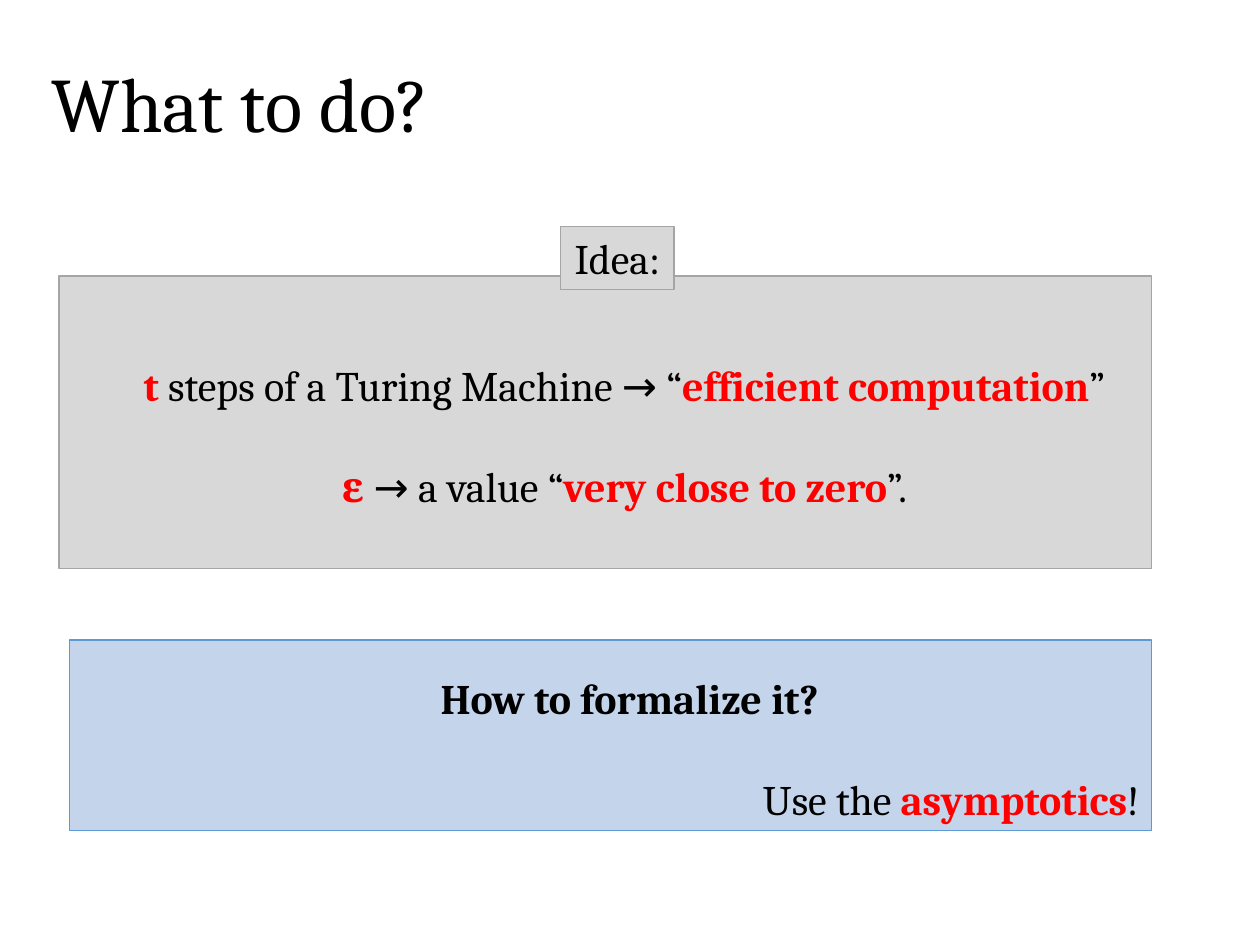
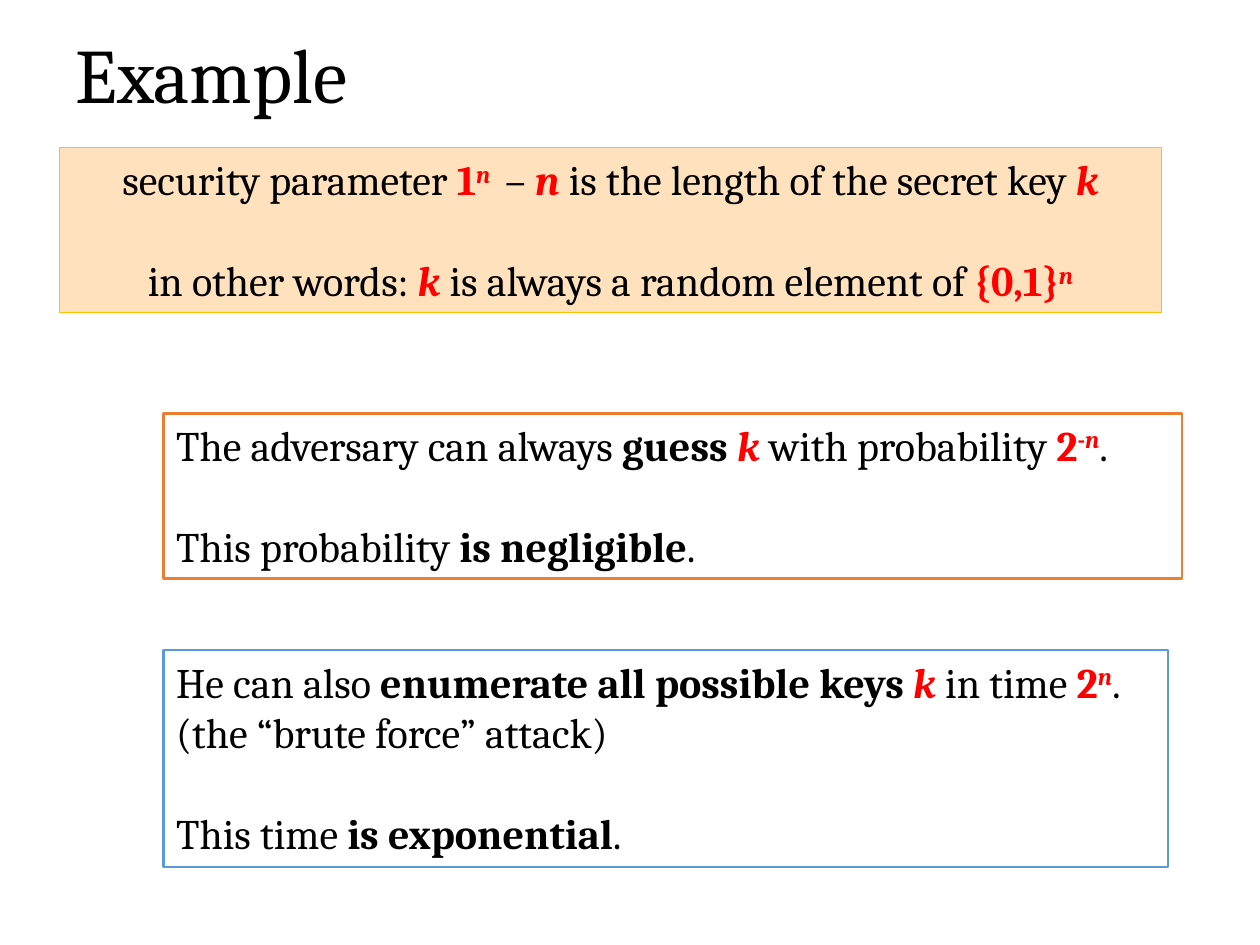
from pptx import Presentation
from pptx.dml.color import RGBColor
from pptx.enum import shapes, text
from pptx.util import Inches, Pt

COLORS = {
    "ink": "000000", "accent": "FF0000", "white": "FFFFFF",
    "grey": "D8D8D8", "grey_line": "A5A5A5",
    "blue": "C4D5EB", "blue_line": "5B9BD5",
    "peach": "FFE2BD", "gold_line": "FFC000", "orange_line": "ED7D31",
}
FONT, ARROW_FONT = "Cambria", "Roboto"
BODY_SIZE = 24
SECTION_GAP = Pt(29)  # one line of body text
THIN, THICK = 0.79, 1.5
LEFT, CENTER, RIGHT = text.PP_ALIGN.LEFT, text.PP_ALIGN.CENTER, text.PP_ALIGN.RIGHT
FORMAL_INSETS = (0.4, 0.25, 0.1, 0.05)
PLAIN_INSETS = (0.1, 0.05, 0.1, 0.05)


def rgb(name):
    return RGBColor.from_string(COLORS[name])


def add_span(para, words, style="", size=BODY_SIZE):
    """Style letters: r red, b bold, i italic, s superscript, a arrow font."""
    span = para.add_run()
    span.text = words
    font = span.font
    font.name = ARROW_FONT if "a" in style else FONT
    font.size = Pt(size)
    font.bold = "b" in style
    font.italic = "i" in style
    font.color.rgb = rgb("accent" if "r" in style else "ink")
    if "s" in style:
        span._r.get_or_add_rPr().set("baseline", "30000")


def add_page(deck, heading, left, top, width, height):
    page = deck.slides.add_slide(deck.slide_layouts[5])
    title = page.shapes.title
    title.left, title.top = Inches(left), Inches(top)
    title.width, title.height = Inches(width), Inches(height)
    frame = title.text_frame
    frame.auto_size = text.MSO_AUTO_SIZE.NONE
    frame.vertical_anchor = text.MSO_ANCHOR.MIDDLE
    para = frame.paragraphs[0]
    para.alignment = LEFT
    para.line_spacing = 0.9
    add_span(para, heading, size=44)
    return page


def add_panel(page, place, fill, line, weight, paragraphs,
              anchor=text.MSO_ANCHOR.TOP, insets=PLAIN_INSETS):
    """Paragraphs are (alignment, space before, spans)."""
    box = page.shapes.add_shape(shapes.MSO_SHAPE.RECTANGLE, *map(Inches, place))
    box.shadow.inherit = False
    box.fill.solid()
    box.fill.fore_color.rgb = rgb(fill)
    box.line.color.rgb = rgb(line)
    box.line.width = Pt(weight)
    frame = box.text_frame
    frame.word_wrap = True
    frame.vertical_anchor = anchor
    (frame.margin_left, frame.margin_top,
     frame.margin_right, frame.margin_bottom) = map(Inches, insets)
    for index, (alignment, gap, spans) in enumerate(paragraphs):
        para = frame.add_paragraph() if index else frame.paragraphs[0]
        para.alignment = alignment
        para.space_before = gap
        for span in spans:
            add_span(para, *span)


def build_idea_page(deck):
    page = add_page(deck, "What to do?", 0.31, 0.23, 8.2, 1.25)
    formal = {"anchor": text.MSO_ANCHOR.MIDDLE, "insets": FORMAL_INSETS}
    add_panel(page, (0.47, 2.19, 8.67, 2.32), "grey", "grey_line", THIN, [
        (CENTER, 0, [("t", "rb"), (" steps of a Turing Machine ",), ("→", "a"),
                     (" “",), ("efficient computation", "rb"), ("”",)]),
        (CENTER, SECTION_GAP, [("ε ", "rb"), ("→", "a"), (" a value “",),
                               ("very close to zero", "rb"), ("”.",)]),
    ], **formal)
    add_panel(page, (0.55, 5.08, 8.59, 1.51), "blue", "blue_line", THIN, [
        (CENTER, 0, [("How to formalize it?", "b")]),
        (RIGHT, SECTION_GAP, [("Use the ",), ("asymptotics", "rb"), ("!",)]),
    ], **formal)
    add_panel(page, (4.45, 1.8, 0.9, 0.5), "grey", "grey_line", THIN,
              [(CENTER, 0, [("Idea:",)])])


def build_example_page(deck):
    page = add_page(deck, "Example", 0.5, 0, 9, 1.25)
    add_panel(page, (0.47, 1.17, 8.75, 1.31), "peach", "gold_line", THIN, [
        (CENTER, 0, [("security parameter ",), ("1", "rb"), ("n ", "rbis"),
                     (" – ",), ("n", "rbi"),
                     (" is the length of the secret key ",), ("k", "rbi")]),
        (CENTER, SECTION_GAP, [("in other words: ",), ("k ", "rbi"),
                               ("is always a random element of ",),
                               ("{0,1}", "rb"), ("n", "rbis")]),
    ])
    add_panel(page, (1.3, 3.28, 8.08, 1.31), "white", "orange_line", THICK, [
        (LEFT, 0, [("The adversary can always ",), ("guess ", "b"), ("k", "rbi"),
                   (" with probability ",), ("2", "rb"), ("-", "rbs"),
                   ("n", "rbis"), (".",)]),
        (LEFT, SECTION_GAP, [("This probability ",), ("is negligible", "b"), (".",)]),
    ])
    add_panel(page, (1.3, 5.16, 7.97, 1.72), "white", "blue_line", THICK, [
        (LEFT, 0, [("He can also ",), ("enumerate all possible keys ", "b"),
                   ("k", "rbi"), (" in time ",), ("2", "rb"), ("n", "rbis"), (".",)]),
        (LEFT, 0, [("(the “brute force” attack)",)]),
        (LEFT, SECTION_GAP, [("This time ",), ("is exponential", "b"), (".",)]),
    ])


def main():
    deck = Presentation()
    deck.slide_width, deck.slide_height = Inches(10), Inches(7.5)
    build_idea_page(deck)
    build_example_page(deck)
    deck.save("out.pptx")


if __name__ == "__main__":
    main()
